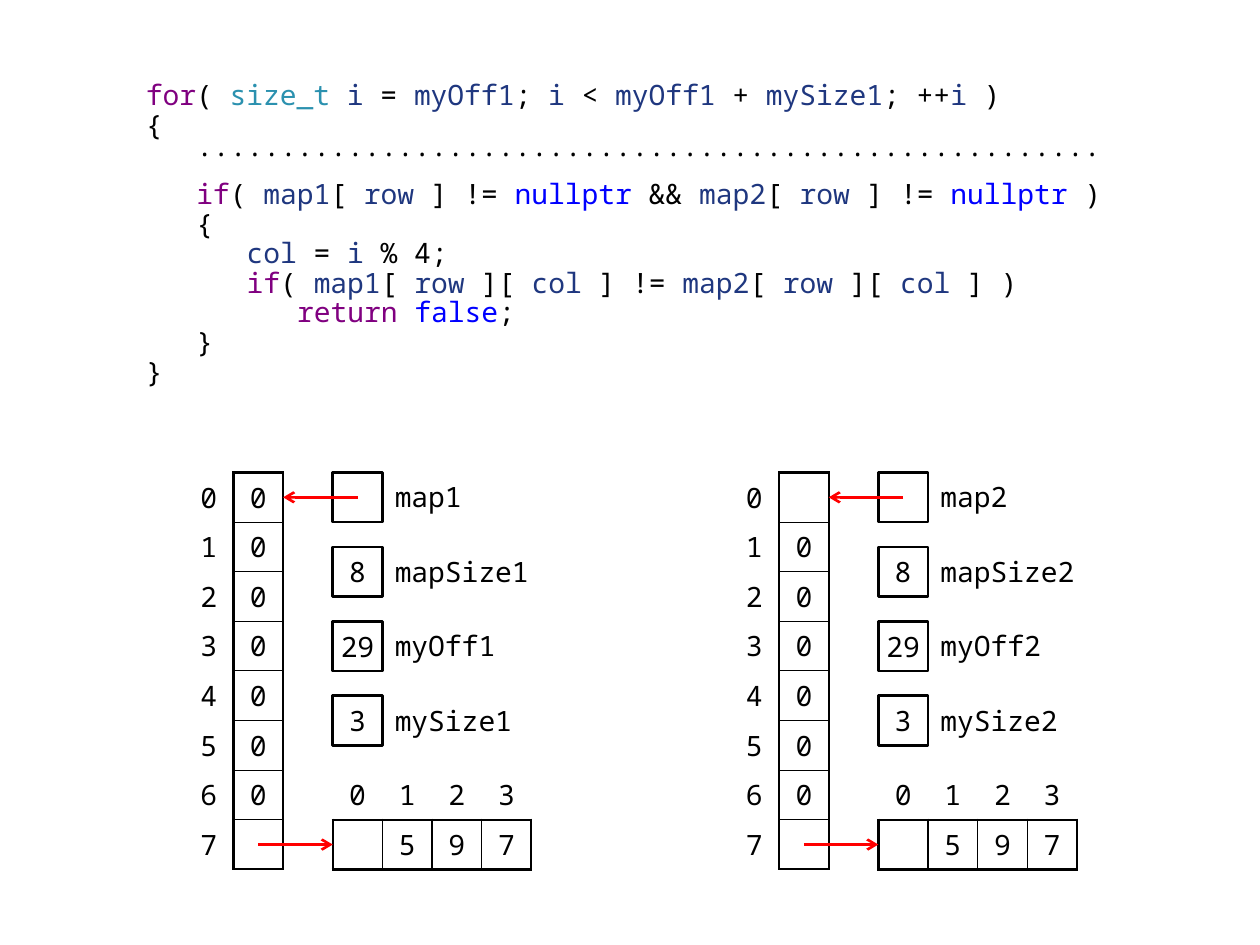
from dataclasses import dataclass
from itertools import groupby

from lxml.etree import SubElement
from pptx import Presentation
from pptx.dml.color import RGBColor
from pptx.enum.shapes import MSO_CONNECTOR, MSO_SHAPE
from pptx.enum.text import MSO_ANCHOR, PP_ALIGN
from pptx.oxml.ns import qn
from pptx.util import Inches, Pt

FONT = "Noto Sans Mono"
BLACK, WHITE, RED = "000000", "FFFFFF", "FF0000"
KEYWORD, TYPE, VARIABLE, LITERAL = "800080", "2B91AF", "1F377F", "0000FF"
CELL = 3.15 / 8
TOP = 3.75
INDENT = 0.4
THICK, THIN = 1.5, 0.75
NO_STYLE_NO_GRID = "{2D5ABB26-0587-4C30-8999-92F81FD0307C}"

WORD_COLORS = {
    **dict.fromkeys(["for", "if", "return"], KEYWORD),
    **dict.fromkeys(["size_t"], TYPE),
    **dict.fromkeys(["nullptr", "false"], LITERAL),
    **dict.fromkeys(["i", "row", "col", "map1", "map2", "myOff1", "mySize1"], VARIABLE),
}


@dataclass
class CodeLine:
    level: int
    code: str
    space_before: int = 0


@dataclass
class Deque:
    left: float
    suffix: str
    map_slots: list[str]
    block: list[str]


CODE = [
    CodeLine(0, "for( size_t i = myOff1; i < myOff1 + mySize1; ++i )"),
    CodeLine(0, "{"),
    CodeLine(1, "·" * 54),
    CodeLine(1, "if( map1[ row ] != nullptr && map2[ row ] != nullptr )", 6),
    CodeLine(1, "{"),
    CodeLine(2, "col = i % 4;"),
    CodeLine(2, "if( map1[ row ][ col ] != map2[ row ][ col ] )"),
    CodeLine(3, "return false;"),
    CodeLine(1, "}"),
    CodeLine(0, "}"),
]
DEQUES = [
    Deque(1.46, "1", ["0"] * 7 + [""], ["", "5", "9", "7"]),
    Deque(5.79, "2", [""] + ["0"] * 6 + [""], ["", "5", "9", "7"]),
]
MEMBERS = [("map", ""), ("mapSize", "8"), ("myOff", "29"), ("mySize", "3")]


def rgb(color: str) -> RGBColor:
    return RGBColor.from_string(color)


def write(paragraph, text: str, *, color: str = BLACK, align=PP_ALIGN.LEFT) -> None:
    paragraph.alignment = align
    if text:
        run = paragraph.add_run()
        run.text = text
        run.font.name, run.font.size = FONT, Pt(16)
        run.font.color.rgb = rgb(color)


def set_frame(holder, insets: tuple, anchor=MSO_ANCHOR.TOP) -> None:
    """Set insets (left, top, right, bottom) and anchor of a text frame or cell."""
    (holder.margin_left, holder.margin_top,
     holder.margin_right, holder.margin_bottom) = map(Inches, insets)
    holder.vertical_anchor = anchor


def add_text_frame(slide, left: float, top: float, width: float, height: float):
    frame = slide.shapes.add_textbox(
        Inches(left), Inches(top), Inches(width), Inches(height)).text_frame
    frame.word_wrap = True
    return frame


def add_code(slide) -> None:
    frame = add_text_frame(slide, 1.06, 0.6, 7.87, 2.95)
    for number, line in enumerate(CODE):
        paragraph = frame.add_paragraph() if number else frame.paragraphs[0]
        paragraph.line_spacing = 0.88
        paragraph.space_before = Pt(line.space_before)
        paragraph._p.get_or_add_pPr().set("marL", str(Inches(line.level * INDENT)))
        for _, symbols in groupby(line.code, lambda s: s.isalnum() or s == "_"):
            token = "".join(symbols)
            write(paragraph, token, color=WORD_COLORS.get(token, BLACK))


def add_borders(cell, **widths: float) -> None:
    """Draw black borders; the keywords are L, R, T and B in points."""
    properties = cell._tc.get_or_add_tcPr()
    for side in "LRTB":
        if side in widths:
            border = SubElement(properties, qn(f"a:ln{side}"), w=str(Pt(widths[side])))
            fill = SubElement(border, qn("a:solidFill"))
            SubElement(fill, qn("a:srgbClr"), val=BLACK)


def add_grid(slide, left: float, top: float, rows: list, side_inset: float,
             borders: dict[tuple[int, int], dict]) -> None:
    """Draw a table of square cells; borders maps (row, column) to side widths."""
    row_count, column_count = len(rows), len(rows[0])
    table_frame = slide.shapes.add_table(
        row_count, column_count, Inches(left), Inches(top),
        Inches(column_count * CELL), Inches(row_count * CELL))
    table = table_frame.table
    table.first_row = table.horz_banding = False
    table._tbl.tblPr.find(qn("a:tableStyleId")).text = NO_STYLE_NO_GRID
    for column in table.columns:
        column.width = Inches(CELL)
    for r, values in enumerate(rows):
        table.rows[r].height = Inches(CELL)
        for c, value in enumerate(values):
            cell = table.cell(r, c)
            add_borders(cell, **borders.get((r, c), {}))
            cell.fill.background()
            set_frame(cell, (side_inset, 0.04, side_inset, 0.04), MSO_ANCHOR.MIDDLE)
            write(cell.text_frame.paragraphs[0], value, align=PP_ALIGN.CENTER)


def add_map(slide, deque: Deque) -> None:
    last = len(deque.map_slots) - 1
    borders = {(r, 1): dict(L=THICK, R=THICK, T=THIN if r else THICK,
                            B=THICK if r == last else THIN)
               for r in range(last + 1)}
    rows = [(str(r), slot) for r, slot in enumerate(deque.map_slots)]
    add_grid(slide, deque.left, TOP, rows, 0.08, borders)


def add_block(slide, deque: Deque) -> None:
    last = len(deque.block) - 1
    borders = {(1, c): dict(T=THICK, B=THICK, L=THIN if c else THICK,
                            R=THICK if c == last else THIN)
               for c in range(last + 1)}
    rows = [[str(c) for c in range(last + 1)], deque.block]
    add_grid(slide, deque.left + 3 * CELL, TOP + 6 * CELL, rows, 0.04, borders)


def add_member(slide, left: float, top: float, name: str, value: str) -> None:
    box = slide.shapes.add_shape(
        MSO_SHAPE.RECTANGLE, Inches(left), Inches(top), Inches(CELL), Inches(CELL))
    box.shadow.inherit = False
    box.fill.solid()
    box.fill.fore_color.rgb = rgb(WHITE)
    box.line.color.rgb = rgb(BLACK)
    box.line.width = Pt(THICK)
    set_frame(box.text_frame, (0.04, 0.05, 0.04, 0.05), MSO_ANCHOR.MIDDLE)
    write(box.text_frame.paragraphs[0], value, align=PP_ALIGN.CENTER)
    label = add_text_frame(slide, left + CELL, top, 3 * CELL, CELL)
    set_frame(label, (0.1, 0.06, 0, 0))
    write(label.paragraphs[0], name)


def add_arrow(slide, start: float, end: float, y: float) -> None:
    arrow = slide.shapes.add_connector(
        MSO_CONNECTOR.STRAIGHT, Inches(start), Inches(y), Inches(end), Inches(y))
    arrow.line.color.rgb = rgb(RED)
    arrow.line.width = Pt(THICK)
    SubElement(arrow.line._get_or_add_ln(), qn("a:tailEnd"), type="arrow")
    SubElement(arrow._element.spPr, qn("a:effectLst"))


def add_deque(slide, deque: Deque) -> None:
    add_map(slide, deque)
    add_block(slide, deque)
    members_left = deque.left + 3 * CELL
    for number, (name, value) in enumerate(MEMBERS):
        add_member(slide, members_left, TOP + number * 1.5 * CELL,
                   name + deque.suffix, value)
    add_arrow(slide, members_left + CELL / 2, deque.left + 2 * CELL, TOP + CELL / 2)
    add_arrow(slide, deque.left + 1.5 * CELL, members_left, TOP + 7.5 * CELL)


def main() -> None:
    presentation = Presentation()
    presentation.slide_width, presentation.slide_height = Inches(10), Inches(7.5)
    slide = presentation.slides.add_slide(presentation.slide_layouts[6])
    add_code(slide)
    for deque in DEQUES:
        add_deque(slide, deque)
    presentation.save("out.pptx")


if __name__ == "__main__":
    main()
